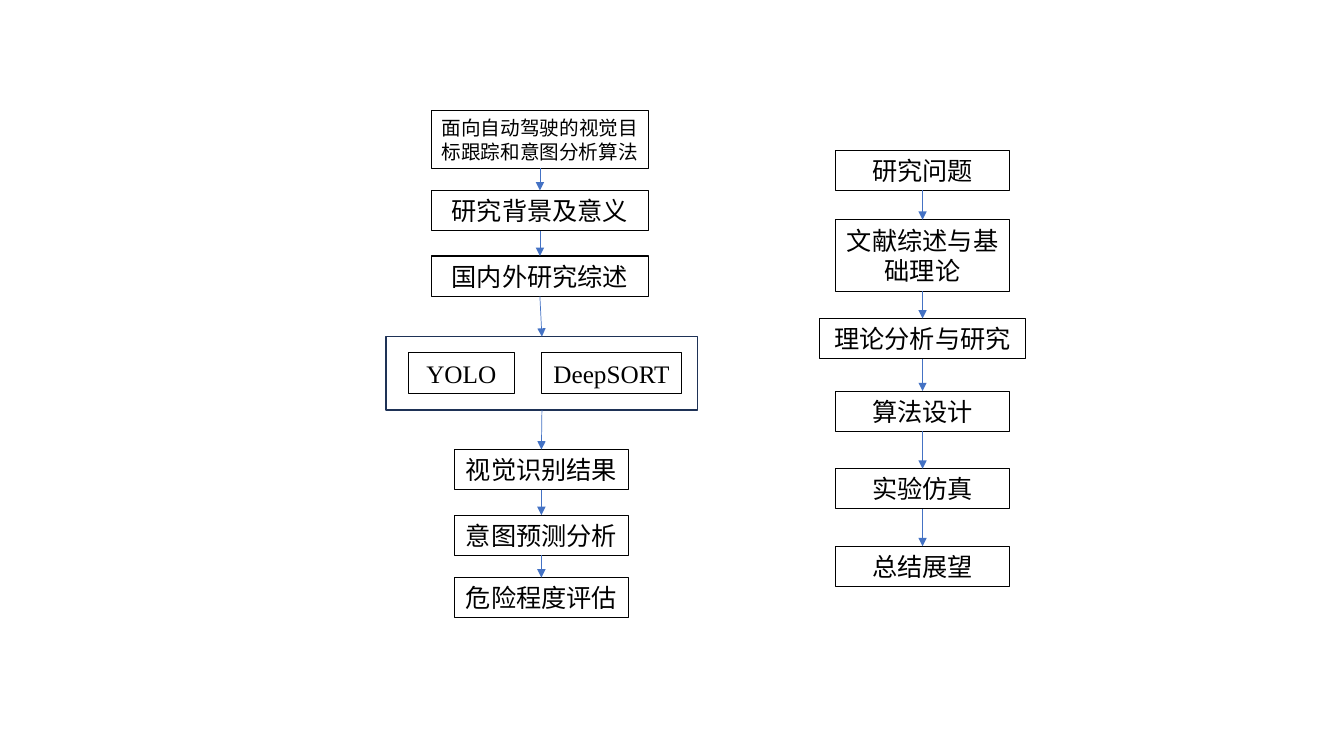
import pptx
import pptx.util
import pptx.dml.color
import pptx.enum.shapes
import pptx.enum.text
import pptx.oxml.ns
from lxml import etree

Inches = pptx.util.Inches
Pt = pptx.util.Pt
RGBColor = pptx.dml.color.RGBColor
PP_ALIGN = pptx.enum.text.PP_ALIGN

BLACK = RGBColor(0x00, 0x00, 0x00)
NAVY = RGBColor(0x1E, 0x32, 0x56)
BLUE = RGBColor(0x44, 0x72, 0xC4)
TOP, BOTTOM = 0, 2
BOX_H = 0.4

prs = pptx.Presentation()
prs.slide_width = Inches(13.33)
prs.slide_height = Inches(7.5)
s = prs.slides.add_slide(prs.slide_layouts[6])


def add_box(text, left, top, width, height=BOX_H, size=18,
            align=PP_ALIGN.CENTER, color=BLACK, line_width=0.75):
    """Add an unfilled outlined rectangle, with text if there is any."""
    sp = s.shapes.add_shape(pptx.enum.shapes.MSO_SHAPE.RECTANGLE, Inches(left),
                            Inches(top), Inches(width), Inches(height))
    sp.shadow.inherit = False
    sp.fill.background()
    sp.line.color.rgb = color
    sp.line.width = Pt(line_width)
    if text:
        tf = sp.text_frame
        tf.word_wrap = True
        tf.auto_size = pptx.enum.text.MSO_AUTO_SIZE.SHAPE_TO_FIT_TEXT
        p = tf.paragraphs[0]
        p.text = text
        p.alignment = align
        p.font.size = Pt(size)
        p.font.name = "Times New Roman"
        p.font.color.rgb = BLACK
    return sp


def add_arrow(upper, lower):
    """Join the bottom of one box to the top of the next."""
    c = s.shapes.add_connector(pptx.enum.shapes.MSO_CONNECTOR.STRAIGHT, 0, 0, 0, 0)
    c.begin_connect(upper, BOTTOM)
    c.end_connect(lower, TOP)
    c.line.color.rgb = BLUE
    c.line.width = Pt(0.5)
    etree.SubElement(c.line._get_or_add_ln(), pptx.oxml.ns.qn("a:tailEnd"),
                     type="triangle")
    etree.SubElement(c._element.spPr, pptx.oxml.ns.qn("a:effectLst"))


# Left flow: from the topic to the risk assessment
topic = add_box("面向自动驾驶的视觉目标跟踪和意图分析算法", 4.28, 1.1, 2.15, 0.57,
                size=14, align=PP_ALIGN.JUSTIFY)
algorithm_flow = [topic]
for text, top in [("研究背景及意义", 1.89), ("国内外研究综述", 2.54)]:
    algorithm_flow.append(add_box(text, 4.28, top, 2.15))

algorithm_flow.append(add_box("", 3.83, 3.34, 3.09, 0.73, color=NAVY, line_width=1))
for text, left, width in [("YOLO", 4.05, 1.05), ("DeepSORT", 5.37, 1.39)]:
    add_box(text, left, 3.5, width)

for text, top in [("视觉识别结果", 4.46), ("意图预测分析", 5.11), ("危险程度评估", 5.73)]:
    algorithm_flow.append(add_box(text, 4.51, top, 1.72))

# Right flow: research stages, centred on one axis
STAGE_AXIS = 9.15
research_flow = []
for text, top, width, height in [
    ("研究问题", 1.49, 1.72, BOX_H),
    ("文献综述与基础理论", 2.18, 1.72, 0.71),
    ("理论分析与研究", 3.16, 2.04, BOX_H),
    ("算法设计", 3.88, 1.72, BOX_H),
    ("实验仿真", 4.65, 1.72, BOX_H),
    ("总结展望", 5.42, 1.72, BOX_H),
]:
    research_flow.append(add_box(text, STAGE_AXIS - width / 2, top, width, height))

for flow in (algorithm_flow, research_flow):
    for upper, lower in zip(flow, flow[1:]):
        add_arrow(upper, lower)

prs.save("out.pptx")
